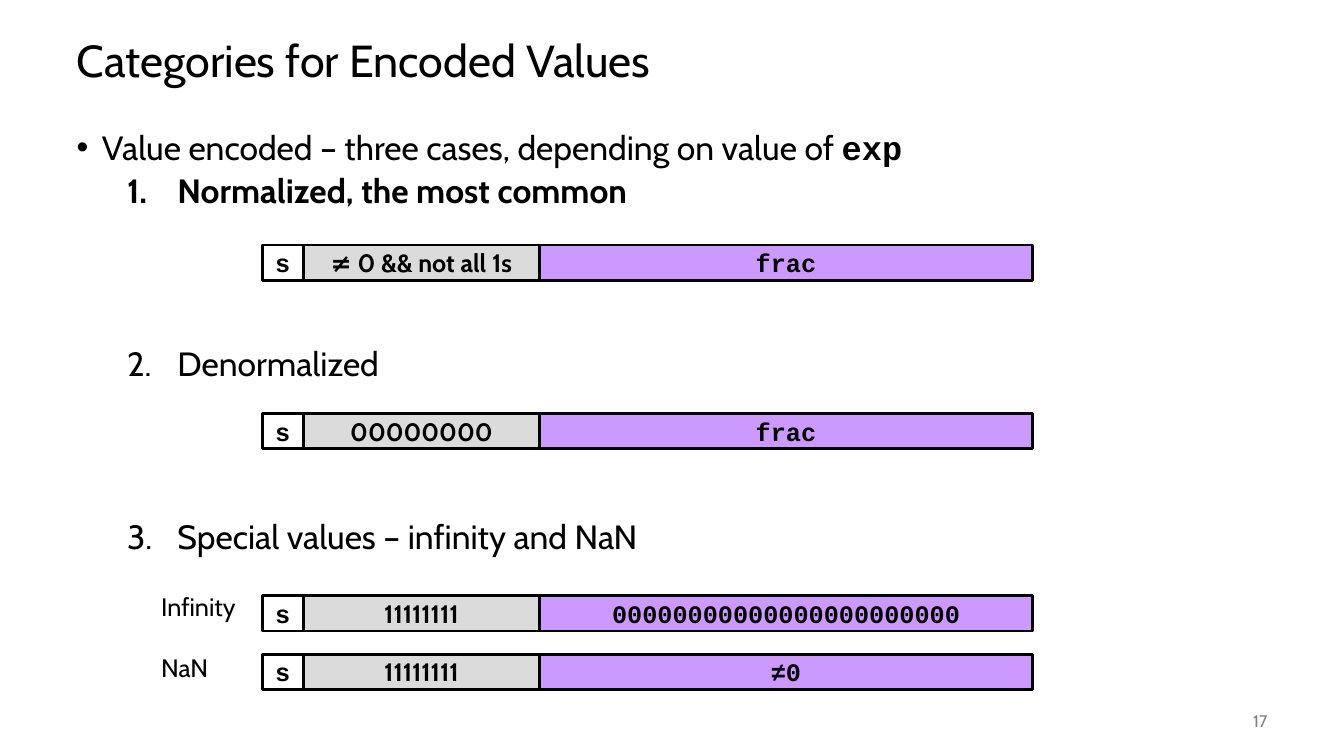
from dataclasses import dataclass

from lxml import etree
from pptx import Presentation
from pptx import util as u
from pptx.dml.color import RGBColor
from pptx.enum import shapes, text
from pptx.oxml.ns import qn


@dataclass(frozen=True)
class Theme:
    sans: str = "Cabin"
    mono: str = "Courier New"
    ink: str = "000000"
    muted: str = "808080"
    sign_fill: str = "FFFFFF"
    exp_fill: str = "DBDBDB"
    frac_fill: str = "CC99FF"
    title_size: int = 32
    body_size: int = 24
    label_size: int = 18
    number_size: int = 12
    border: int = 2


THEME = Theme()

FIELD_EDGES = [2.6, 3.01, 5.35, 10.24]
FIELD_HEIGHT = 0.35
FORMATS = [
    (2.43, "≠ 0 && not all 1s", "frac"),
    (4.1, "00000000", "frac"),
    (5.91, "11111111", "0" * 23),
    (6.49, "11111111", "≠0"),
]
CASES = [
    ("Normalized, the most common", True, 5),
    ("Denormalized", False, 97.7),
    ("Special values – infinity and NaN", False, 97.7),
]


def add_span(para, words, size, font=THEME.sans, color=THEME.ink, bold=False):
    span = para.add_run()
    span.text = words
    span.font.name = font
    span.font.size = u.Pt(size)
    span.font.bold = bold
    span.font.color.rgb = RGBColor.from_string(color)


def set_bullet(para, tag, left, hanging, **attributes):
    """Give a paragraph a bullet element and a hanging indent, in inches."""
    properties = para._p.get_or_add_pPr()
    properties.set("marL", str(u.Inches(left)))
    properties.set("indent", str(-u.Inches(hanging)))
    etree.SubElement(properties, qn("a:buFont"), typeface="Arial" if tag == "a:buChar" else "+mj-lt")
    etree.SubElement(properties, qn(tag), **attributes)


class SlideBuilder:
    def __init__(self, deck, theme):
        self.theme = theme
        self.page = deck.slides.add_slide(deck.slide_layouts[1])

    def place(self, box, left, top, width, height):
        box.left, box.top = u.Inches(left), u.Inches(top)
        box.width, box.height = u.Inches(width), u.Inches(height)

    def title(self, words):
        box = self.page.shapes.title
        self.place(box, 0.66, 0.25, 12, 0.75)
        box.text_frame.auto_size = text.MSO_AUTO_SIZE.NONE
        box.text_frame.vertical_anchor = text.MSO_ANCHOR.MIDDLE
        para = box.text_frame.paragraphs[0]
        para.alignment = text.PP_ALIGN.LEFT
        para.line_spacing = 0.9
        add_span(para, words, self.theme.title_size)

    def case_list(self, lead, keyword, cases):
        box = self.page.placeholders[1]
        self.place(box, 0.66, 1.25, 12, 5.5)
        frame = box.text_frame
        frame.auto_size = text.MSO_AUTO_SIZE.NONE
        size = self.theme.body_size

        para = frame.paragraphs[0]
        para.line_spacing = 0.9
        para.space_before = u.Pt(0)
        set_bullet(para, "a:buChar", 0.25, 0.25, char="•")
        add_span(para, lead, size)
        add_span(para, keyword, size, font=self.theme.mono, bold=True)

        for words, bold, gap in cases:
            para = frame.add_paragraph()
            para.level = 1
            para.line_spacing = 0.9
            para.space_before = u.Pt(gap)
            set_bullet(para, "a:buAutoNum", 1, 0.5, type="arabicPeriod")
            add_span(para, words, size, bold=bold)

    def bit_format(self, top, exponent, fraction):
        """Draw one row of sign, exponent and fraction fields."""
        theme = self.theme
        group = self.page.shapes.add_group_shape()
        fields = [
            ("s", theme.sign_fill, theme.mono),
            (exponent, theme.exp_fill, theme.sans),
            (fraction, theme.frac_fill, theme.mono),
        ]
        for (words, fill, font), left, right in zip(fields, FIELD_EDGES, FIELD_EDGES[1:]):
            box = group.shapes.add_shape(
                shapes.MSO_SHAPE.RECTANGLE, u.Inches(left), u.Inches(top),
                u.Inches(right - left), u.Inches(FIELD_HEIGHT))
            box.shadow.inherit = False
            box.fill.solid()
            box.fill.fore_color.rgb = RGBColor.from_string(fill)
            box.line.color.rgb = RGBColor.from_string(theme.ink)
            box.line.width = u.Pt(theme.border)
            box.text_frame.word_wrap = False
            box.text_frame.vertical_anchor = text.MSO_ANCHOR.MIDDLE
            para = box.text_frame.paragraphs[0]
            para.alignment = text.PP_ALIGN.CENTER
            add_span(para, words, theme.label_size, font=font, bold=True)

    def label(self, words, left, top, width, size, color=THEME.ink,
              align=text.PP_ALIGN.LEFT, anchor=text.MSO_ANCHOR.TOP, wrap=False):
        box = self.page.shapes.add_textbox(
            u.Inches(left), u.Inches(top), u.Inches(width), u.Inches(0.4))
        box.text_frame.word_wrap = wrap
        box.text_frame.vertical_anchor = anchor
        para = box.text_frame.paragraphs[0]
        para.alignment = align
        add_span(para, words, size, color=color)


def main():
    deck = Presentation()
    deck.slide_width, deck.slide_height = u.Inches(13.33), u.Inches(7.5)
    builder = SlideBuilder(deck, THEME)
    builder.title("Categories for Encoded Values")
    builder.case_list("Value encoded – three cases, depending on value of ", "exp", CASES)
    for top, exponent, fraction in FORMATS:
        builder.bit_format(top, exponent, fraction)
    builder.label("Infinity", 1.5, 5.82, 0.98, THEME.label_size)
    builder.label("NaN", 1.5, 6.42, 0.67, THEME.label_size)
    builder.label("17", 11.67, 6.95, 1, THEME.number_size, color=THEME.muted,
                  align=text.PP_ALIGN.RIGHT, anchor=text.MSO_ANCHOR.MIDDLE, wrap=True)
    deck.save("out.pptx")


if __name__ == "__main__":
    main()
